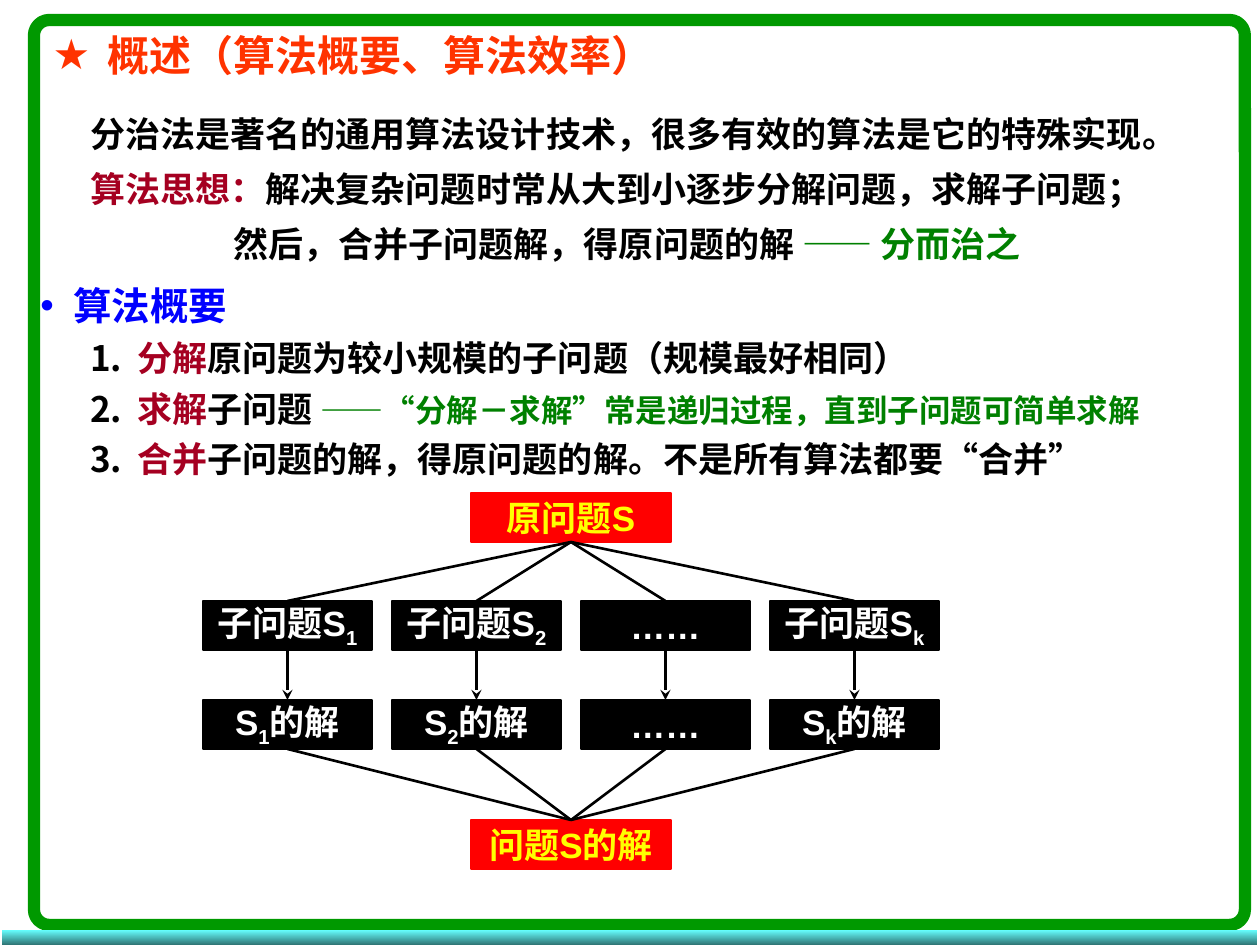
from dataclasses import dataclass

from lxml import etree
from pptx import Presentation
from pptx.dml.color import RGBColor
from pptx.enum import shapes, text
from pptx.oxml import ns
from pptx.util import Emu, Pt

SCALE = 914400 / 126
TOP, BOTTOM = 0, 2


@dataclass(frozen=True)
class Theme:
    """Colours, font and type sizes of the slide."""
    font: str = "Arial"
    title: int = 24
    section: int = 22
    body: int = 20
    remark: int = 18
    orange: str = "FF3300"
    black: str = "000000"
    crimson: str = "A50021"
    green: str = "008000"
    blue: str = "0000FF"
    red: str = "FF0000"
    yellow: str = "FFFF00"
    white: str = "FFFFFF"
    frame: str = "009900"
    band: tuple = ("66FFFF", "2F7575")


THEME = Theme()


def px(value):
    """Turn pixels into EMU."""
    return Emu(round(value * SCALE))


def assign(target, **values):
    """Set several attributes of one object."""
    for name, value in values.items():
        setattr(target, name, value)


def add_run(paragraph, words, color, size=THEME.body, baseline=None):
    """Append a bold run to a paragraph."""
    run = paragraph.add_run()
    run.text = words
    assign(run.font, name=THEME.font, size=Pt(size), bold=True)
    run.font.color.rgb = RGBColor.from_string(color)
    if baseline:
        run.font._element.set("baseline", str(baseline * 1000))


def set_indent(paragraph, margin, hanging=0, marker=None, color=None):
    """Indent a paragraph and give it a bullet character, a number or neither."""
    properties = paragraph._p.get_or_add_pPr()
    properties.set("marL", str(px(margin)))
    properties.set("indent", str(-px(hanging)))
    if marker is None:
        etree.SubElement(properties, ns.qn("a:buNone"))
        return
    bullet_color = etree.SubElement(properties, ns.qn("a:buClr"))
    etree.SubElement(bullet_color, ns.qn("a:srgbClr"), val=color)
    if isinstance(marker, int):
        etree.SubElement(properties, ns.qn("a:buAutoNum"), type="arabicPeriod")
    else:
        etree.SubElement(properties, ns.qn("a:buFont"), typeface=THEME.font)
        etree.SubElement(properties, ns.qn("a:buChar"), char=marker)


def place(shape, left, top, width, height):
    """Move and size a shape."""
    assign(shape, left=px(left), top=px(top), width=px(width), height=px(height))


def add_box(slide, kind, box, line, weight):
    """Add an unfilled, shadowless shape with an optional outline."""
    shape = slide.shapes.add_shape(kind, *map(px, box))
    shape.shadow.inherit = False
    if line:
        shape.line.color.rgb = RGBColor.from_string(line)
        shape.line.width = Pt(weight)
    else:
        shape.line.fill.background()
    return shape


def draw_frame(slide, left, top, width, height):
    """Draw the green border and the gradient band at the foot."""
    border = add_box(slide, shapes.MSO_SHAPE.ROUNDED_RECTANGLE,
                     (left + 34, top + 20, width - 49, height - 40), THEME.frame, 7)
    border.adjustments[0] = 0.017
    border.fill.background()
    band = add_box(slide, shapes.MSO_SHAPE.RECTANGLE,
                   (left + 2, top + height - 15, width - 5, 15), None, 0)
    band.fill.gradient()
    band.fill.gradient_angle = 270
    for stop, color in zip(band.fill.gradient_stops, THEME.band):
        stop.color.rgb = RGBColor.from_string(color)


def draw_title(slide, left, top, width, height):
    """Fill the title placeholder with the starred heading."""
    title = slide.shapes.title
    place(title, left, top, width, height)
    assign(title.text_frame, auto_size=text.MSO_AUTO_SIZE.NONE, word_wrap=True,
           vertical_anchor=text.MSO_ANCHOR.MIDDLE)
    paragraph = title.text_frame.paragraphs[0]
    paragraph.alignment = text.PP_ALIGN.LEFT
    set_indent(paragraph, 55, 55, "★", THEME.orange)
    add_run(paragraph, "概述（算法概要、算法效率）", THEME.orange, THEME.title)


def draw_body(slide, left, top, width, height):
    """Write the introduction, the section heading and the numbered steps."""
    plain, section = (50,), (33, 33, "•", THEME.blue)
    step = (97, 47, 1, THEME.black)
    black, crimson, green = THEME.black, THEME.crimson, THEME.green
    rows = [
        (plain, 2.5, [("分治法是著名的通用算法设计技术，很多有效的算法是它的特殊实现。", black)]),
        (plain, 2.5, [("算法思想：", crimson),
                      ("解决复杂问题时常从大到小逐步分解问题，求解子问题；", black)]),
        ((193,), 5, [("然后，合并子问题解，得原问题的解 ", black), ("—— 分而治之", green)]),
        (section, 0, [("算法概要", THEME.blue, THEME.section)]),
        (step, 0, [("分解", crimson), ("原问题为较小规模的子问题（规模最好相同）", black)]),
        (step, 0, [("求解", crimson), ("子问题 ", black),
                   ("——“分解－求解”常是递归过程，直到子问题可简单求解", green, THEME.remark)]),
        (step, 0, [("合并", crimson),
                   ("子问题的解，得原问题的解。不是所有算法都要“合并”", black)]),
    ]
    frame = slide.shapes.add_textbox(*map(px, (left, top, width, height))).text_frame
    frame.word_wrap = True
    for index, (indent, after, runs) in enumerate(rows):
        paragraph = frame.add_paragraph() if index else frame.paragraphs[0]
        assign(paragraph, line_spacing=1.2, space_before=Pt(0), space_after=Pt(after))
        set_indent(paragraph, *indent)
        for run in runs:
            add_run(paragraph, *run)


def add_node(slide, box, fill, color, parts):
    """Add a diagram box; each part is its words and an optional baseline."""
    node = add_box(slide, shapes.MSO_SHAPE.RECTANGLE, box, fill, 1.5)
    node.fill.solid()
    node.fill.fore_color.rgb = RGBColor.from_string(fill)
    assign(node.text_frame, word_wrap=False, vertical_anchor=text.MSO_ANCHOR.MIDDLE)
    paragraph = node.text_frame.paragraphs[0]
    paragraph.alignment = text.PP_ALIGN.CENTER
    for words, *baseline in parts:
        add_run(paragraph, words, color, THEME.body, *baseline)
    return node


def join(slide, upper, lower, arrow=False):
    """Connect the bottom of one node to the top of another."""
    link = slide.shapes.add_connector(shapes.MSO_CONNECTOR.STRAIGHT, 0, 0, 0, 0)
    link.begin_connect(upper, BOTTOM)
    link.end_connect(lower, TOP)
    link.line.color.rgb = RGBColor.from_string(THEME.black)
    link.line.width = Pt(1.5)
    if arrow:
        etree.SubElement(link.line._get_or_add_ln(), ns.qn("a:tailEnd"), type="stealth")
    etree.SubElement(link._element.spPr, ns.qn("a:effectLst"))


def draw_diagram(slide, left, top, width, height):
    """Draw the problem, its subproblems, their solutions and the merged solution."""
    node_height, root_width, gap, count = 49, 200, 20, 4
    node_width = (width - gap * (count - 1)) // count
    root_left = left + (width - root_width) // 2
    problem, solution = (
        add_node(slide, (root_left, y, root_width, node_height),
                 THEME.red, THEME.yellow, [(words,)])
        for y, words in ((top, "原问题S"), (top + height - node_height, "问题S的解")))
    for column, mark in enumerate(("1", "2", None, "k")):
        x = left + column * (node_width + gap)
        dots = [("……",)]
        subproblem, answer = (
            add_node(slide, (x, top + offset, node_width, node_height),
                     THEME.black, THEME.white, parts if mark else dots)
            for offset, parts in ((108, [("子问题S",), (mark, -25)]),
                                  (207, [("S",), (mark, -25), ("的解",)])))
        join(slide, problem, subproblem)
        join(slide, subproblem, answer, arrow=True)
        join(slide, answer, solution)


def main():
    """Build the slide and save it."""
    presentation = Presentation()
    assign(presentation, slide_width=px(1260), slide_height=px(945))
    slide = presentation.slides.add_slide(presentation.slide_layouts[5])
    draw_frame(slide, 0, 0, 1260, 945)
    draw_title(slide, 40, 30, 1195, 50)
    draw_body(slide, 28, 98, 1207, 382)
    draw_diagram(slide, 203, 493, 736, 376)
    presentation.save("out.pptx")


if __name__ == "__main__":
    main()
